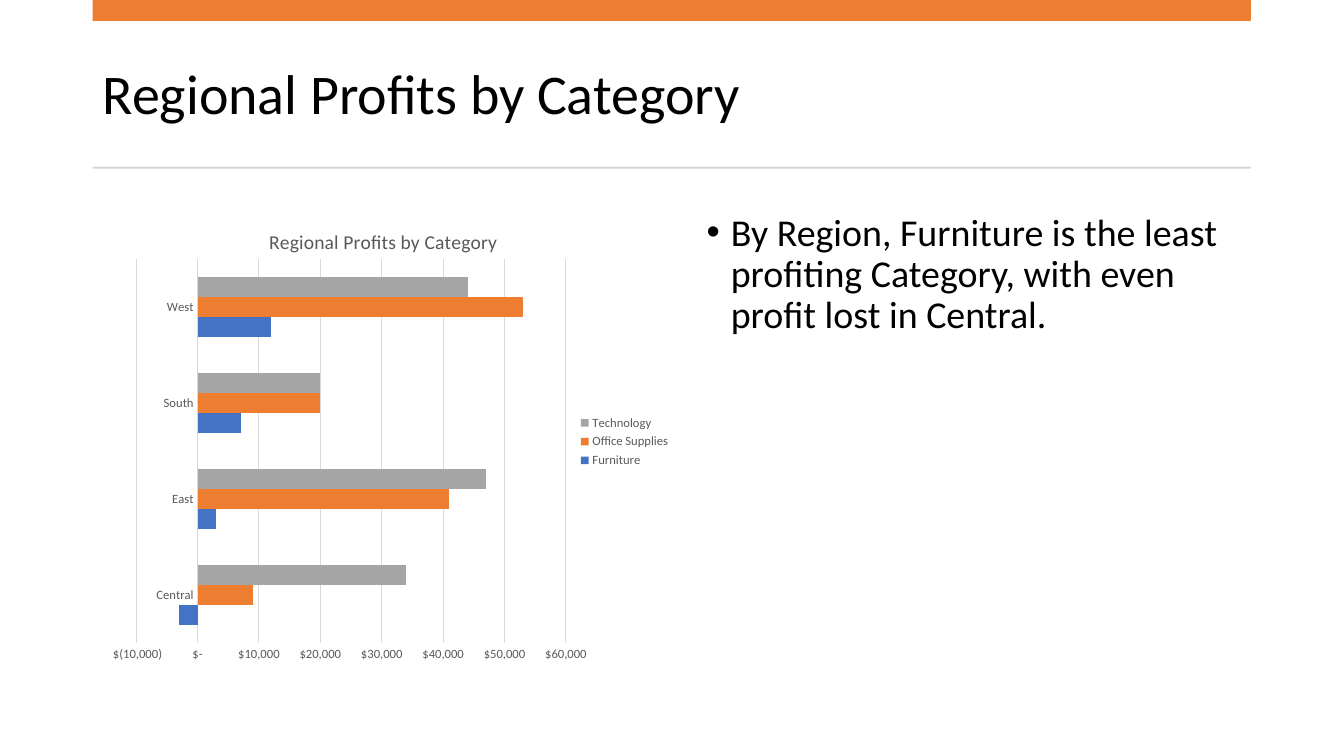
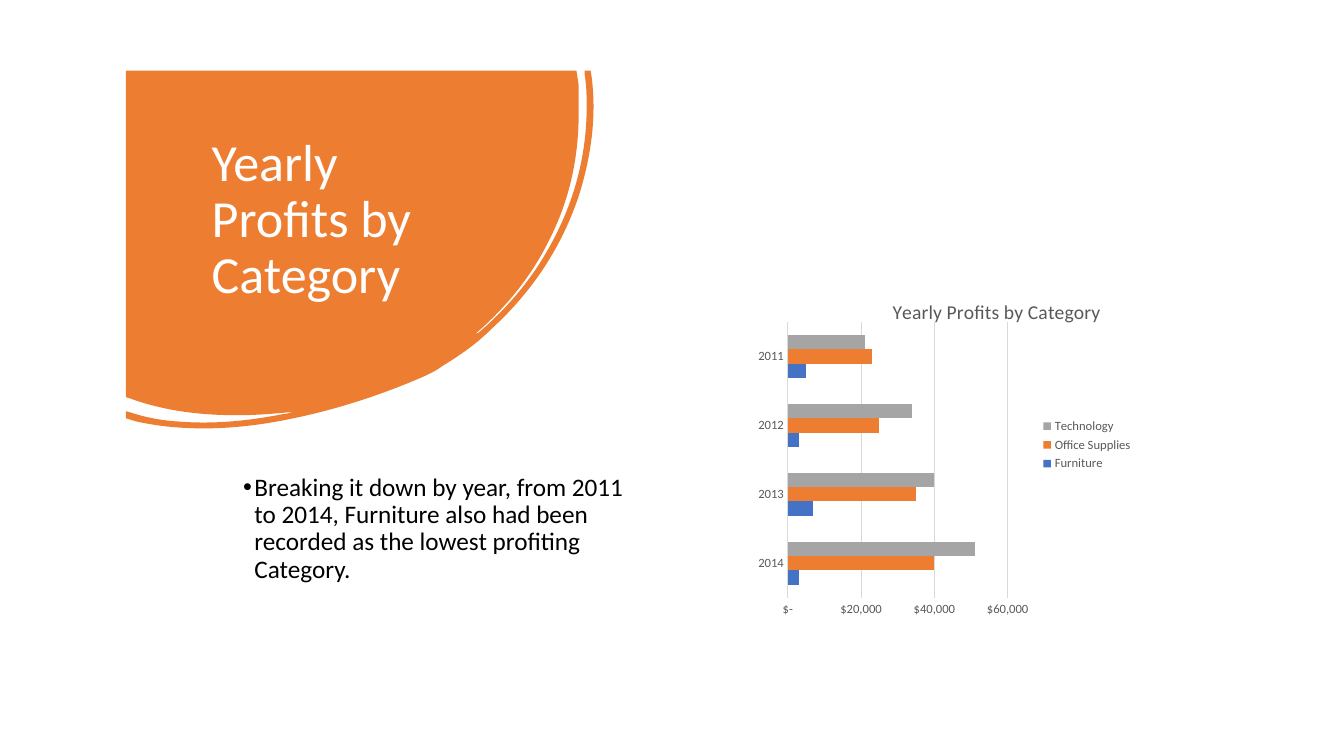
from lxml import etree
from pptx import Presentation
from pptx.chart import data
from pptx.dml.color import RGBColor
from pptx.enum import chart as ch, shapes, text
from pptx.oxml import ns
from pptx.util import Pt

FONT = "Calibri"
COLORS = {
    "black": "000000",
    "white": "FFFFFF",
    "accent": "ED7D31",
    "rule": "D5D5D5",
    "grid": "D9D9D9",
    "label": "595959",
    "Furniture": "4472C4",
    "Office Supplies": "ED7D31",
    "Technology": "A5A5A5",
}
DOLLARS = '_("$"* #,##0_);_("$"* \\(#,##0\\);_("$"* "-"_);_(@_)'
LEFT, WIDTH = 66.2, 827.3
CONTENT_TOP, CONTENT_HEIGHT = 149, 333

SWOOSH_SIZE = (333.4, 255.6)
SWOOSH_START = (90, 50.4)
SWOOSH = [
    (411.8, 50.4),
    (413.3, 60.5),
    (413.3, 66.2, 413.3, 72, 413.3, 77),
    (414, 109.4, 407.5, 141.1, 393.1, 169.9),
    (380.2, 196.6, 362.2, 218.9, 339.8, 238.3),
    (341.3, 238.3, 342, 237.6, 342.7, 236.9),
    (358.6, 223.2, 372.2, 208.1, 383.8, 190.8),
    (408.2, 153.4, 420.5, 113, 419, 68.4),
    (419, 63.4, 418.3, 57.6, 417.6, 52.6),
    (417.6, 50.4),
    (421.9, 50.4),
    (422.6, 54.7),
    (426.2, 82.1, 422.6, 110.2, 414, 138.2),
    (401.8, 175.7, 380.9, 207.4, 352.1, 234),
    (347, 239, 341.3, 244.1, 335.5, 248.4),
    (329.8, 252.7, 323.3, 257, 316.1, 261.4),
    (309.6, 266.4, 300.2, 270, 291.6, 273.6),
    (265, 284.4, 237.6, 293, 209.5, 298.8),
    (182.2, 304.6, 154.8, 307.4, 126.7, 305.3),
    (116.6, 304.6, 106.6, 303.1, 97.2, 301),
    (90, 298.8),
    (90, 293.8),
    (92.9, 294.5),
    (103.7, 298.1, 114.5, 300.2, 126, 301),
    (150.5, 303.1, 174.2, 301, 198, 296.6),
    (200.2, 295.9, 203, 295.9, 205.9, 295.2),
    (208.1, 294.5, 211, 293.8, 213.1, 293.8),
    (198.7, 295.2, 184.3, 296.6, 169.9, 296.6),
    (144, 296.6, 118.8, 293.8, 94.3, 285.1),
    (90, 283.7),
]


def rgb(name):
    return RGBColor.from_string(COLORS[name])


def style_font(font, size, color):
    font.name = FONT
    font.size = Pt(size)
    font.bold = False
    font.color.rgb = rgb(color)


def write_text(tf, content, size=18, color="black", anchor=text.MSO_ANCHOR.TOP,
               before=0, indent=0):
    tf.word_wrap = True
    tf.auto_size = text.MSO_AUTO_SIZE.NONE
    tf.vertical_anchor = anchor
    p = tf.paragraphs[0]
    p.alignment = text.PP_ALIGN.LEFT
    p.line_spacing = 0.9
    p.space_before = Pt(before)
    pPr = p._p.get_or_add_pPr()
    pPr.set("marL", str(Pt(indent)))
    pPr.set("indent", str(-Pt(indent)))
    r = p.add_run()
    r.text = content
    style_font(r.font, size, color)


def bend(outline, segments):
    lines = iter(outline.findall(ns.qn("a:lnTo")))
    for seg in segments:
        first = next(lines)
        if len(seg) == 2:
            continue
        curve = etree.Element(ns.qn("a:cubicBezTo"))
        first.addprevious(curve)
        for line in (first, next(lines), next(lines)):
            curve.append(line[0])
            outline.remove(line)


def set_layout(parent, index, **percents):
    for old in parent.findall(ns.qn("c:layout")):
        parent.remove(old)
    layout = etree.Element(ns.qn("c:layout"))
    manual = etree.SubElement(layout, ns.qn("c:manualLayout"))
    if "w" in percents:
        etree.SubElement(manual, ns.qn("c:layoutTarget")).set("val", "inner")
    for axis in "xy":
        etree.SubElement(manual, ns.qn(f"c:{axis}Mode")).set("val", "edge")
    for key, value in percents.items():
        etree.SubElement(manual, ns.qn(f"c:{key}")).set("val", f"{value / 100:.4f}")
    parent.insert(index, layout)


class Deck:
    def __init__(self):
        self.prs = Presentation()
        self.prs.slide_width, self.prs.slide_height = Pt(960), Pt(540)
        self.s = None

    def new_slide(self):
        self.s = self.prs.slides.add_slide(self.prs.slide_layouts[1])

    def placeholder(self, idx, content, box, **fmt):
        sp = self.s.placeholders[idx]
        sp.left, sp.top, sp.width, sp.height = map(Pt, box)
        write_text(sp.text_frame, content, **fmt)

    def title(self, content, box, **fmt):
        self.placeholder(0, content, box, **fmt)

    def body(self, content, box, **fmt):
        self.placeholder(1, content, box, **fmt)

    def paint(self, sp, color):
        sp.shadow.inherit = False
        sp.fill.solid()
        sp.fill.fore_color.rgb = rgb(color)
        sp.line.fill.background()

    def band(self, top, height, color):
        sp = self.s.shapes.add_shape(shapes.MSO_SHAPE.RECTANGLE,
                                     *map(Pt, (LEFT, top, WIDTH, height)))
        self.paint(sp, color)

    def outline_behind(self, start, segments, size, color):
        points = [(Pt(x), Pt(y)) for seg in segments
                  for x, y in zip(seg[::2], seg[1::2])]
        fb = self.s.shapes.build_freeform(*map(Pt, start), scale=1.0)
        fb.add_line_segments(points, close=True)
        sp = fb.convert_to_shape()
        outline = next(sp._element.iter(ns.qn("a:path")))
        bend(outline, segments)
        sp.width, sp.height = map(Pt, size)
        outline.set("w", str(sp.width))
        outline.set("h", str(sp.height))
        self.paint(sp, color)
        self.s.shapes._spTree.insert(2, sp._element)

    def bar_chart(self, title, box, cats, series, low, high, step, title_at, plot_at):
        cd = data.CategoryChartData()
        cd.categories = cats
        for name, vals in series.items():
            cd.add_series(name, vals)
        chart = self.s.shapes.add_chart(ch.XL_CHART_TYPE.BAR_CLUSTERED,
                                        *map(Pt, box), cd).chart
        style_font(chart.font, 10, "black")

        chart.has_title = True
        p = chart.chart_title.text_frame.paragraphs[0]
        r = p.add_run()
        r.text = title
        style_font(r.font, 14, "label")
        set_layout(chart.chart_title._element, 1, **title_at)
        set_layout(chart._chartSpace.chart.plotArea, 0, **plot_at)

        chart.has_legend = True
        chart.legend.position = ch.XL_LEGEND_POSITION.RIGHT
        chart.legend.include_in_layout = False
        style_font(chart.legend.font, 9, "label")

        plot = chart.plots[0]
        plot.gap_width = 182
        plot.vary_by_categories = False
        for ser in plot.series:
            ser.format.fill.solid()
            ser.format.fill.fore_color.rgb = rgb(ser.name)

        cat, val = chart.category_axis, chart.value_axis
        for axis in (cat, val):
            axis.major_tick_mark = axis.minor_tick_mark = ch.XL_TICK_MARK.NONE
            style_font(axis.tick_labels.font, 9, "label")
        cat.has_major_gridlines = False
        val.has_major_gridlines = True
        for line in (cat.format.line, val.major_gridlines.format.line):
            line.color.rgb = rgb("grid")
            line.width = Pt(0.75)
        val.format.line.fill.background()
        val.minimum_scale, val.maximum_scale, val.major_unit = low, high, step
        val.tick_labels.number_format = DOLLARS
        val.tick_labels.number_format_is_linked = False


def regional_slide(deck):
    deck.new_slide()
    deck.title("Regional Profits by Category", (LEFT, 26.6, WIDTH, 85),
               size=40, anchor=text.MSO_ANCHOR.MIDDLE)
    deck.band(0, 15, "accent")
    deck.band(119, 1.5, "rule")
    deck.bar_chart(
        "Regional Profits by Category", (LEFT, CONTENT_TOP, 420, CONTENT_HEIGHT),
        ["Central", "East", "South", "West"],
        {"Furniture": (-3000, 3000, 7000, 12000),
         "Office Supplies": (9000, 41000, 20000, 53000),
         "Technology": (34000, 47000, 20000, 44000)},
        -10000, 60000, 10000,
        {"x": 29.4, "y": 3.4}, {"x": 7.4, "y": 10.8, "w": 73.1, "h": 82.4})
    deck.body("By Region, Furniture is the least profiting Category, "
              "with even profit lost in Central.",
              (497.5, CONTENT_TOP, 396, CONTENT_HEIGHT),
              size=27.1, before=9.7, indent=17.3)


def yearly_slide(deck):
    deck.new_slide()
    deck.outline_behind(SWOOSH_START, SWOOSH, SWOOSH_SIZE, "accent")
    deck.title("Yearly Profits by Category", (144, 93.6, 206, 129.6),
               size=37.2, color="white")
    deck.body("Breaking it down by year, from 2011 to 2014, Furniture also had been "
              "recorded as the lowest profiting Category.",
              (166.4, 335.5, 298.8, 154), size=18, before=4.5, indent=8.2)
    deck.bar_chart(
        "Yearly Profits by Category", (536.4, 190, 280, 255.6),
        ["2014", "2013", "2012", "2011"],
        {"Furniture": (3000, 7000, 3000, 5000),
         "Office Supplies": (40000, 35000, 25000, 23000),
         "Technology": (51000, 40000, 34000, 21000)},
        0, 60000, 20000,
        {"x": 35.2, "y": 8}, {"x": 9.4, "y": 15.7, "w": 56.1, "h": 77})


def main():
    deck = Deck()
    regional_slide(deck)
    yearly_slide(deck)
    deck.prs.save("out.pptx")


if __name__ == "__main__":
    main()
